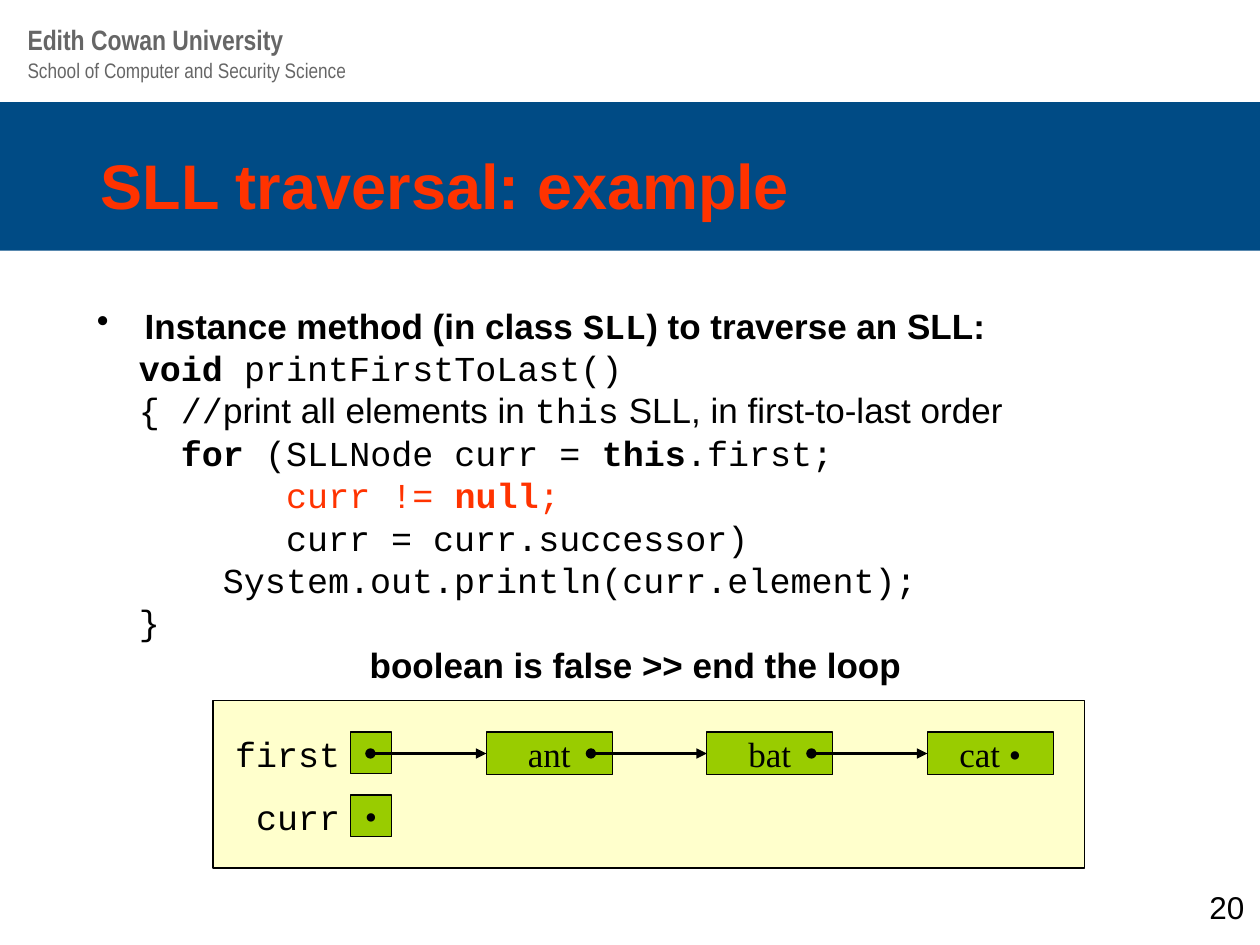
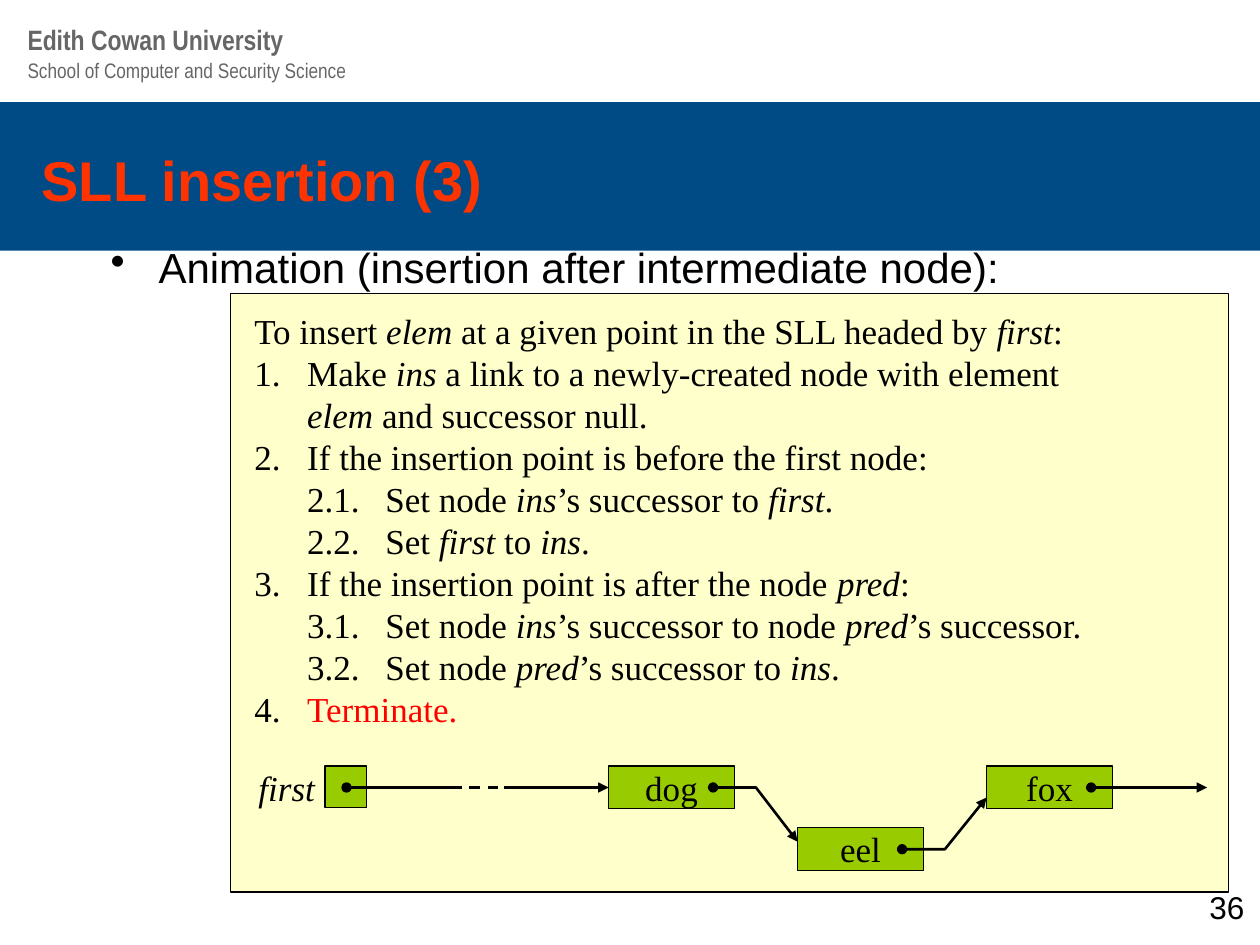
"""Build two slides on traversing and inserting into a singly linked list."""
from lxml import etree
from pptx import Presentation
from pptx.dml.color import RGBColor
from pptx.enum import dml, shapes, text
from pptx.oxml.ns import qn
from pptx.util import Inches, Pt

SANS, NARROW, MONO, SERIF = "Arial", "Arial Narrow", "Courier New", "Times New Roman"
BLACK = RGBColor(0, 0, 0)
GREY = RGBColor(0x66, 0x66, 0x66)
BLUE = RGBColor(0x00, 0x4B, 0x85)
ORANGE = RGBColor(0xFF, 0x33, 0x00)
RED = RGBColor(0xFF, 0, 0)
CREAM = RGBColor(0xFF, 0xFF, 0xCC)
GREEN = RGBColor(0x99, 0xCC, 0x00)
LEFT, CENTER, RIGHT = text.PP_ALIGN.LEFT, text.PP_ALIGN.CENTER, text.PP_ALIGN.RIGHT

BOLD, ITALIC, PROSE = {"bold": True}, {"italic": True}, {"font": SANS}
HOT, STOP = {"color": ORANGE}, {"color": RED}

HEADER = [
    ("Edith Cowan University", 0.13, 16, True),
    ("School of Computer and Security Science", 0.41, 12, False),
]
METHOD_INTRO = [("Instance method (in class ", BOLD | PROSE), ("SLL", BOLD),
                (") to traverse an SLL:", BOLD | PROSE)]
METHOD = [
    [("  void", BOLD), " printFirstToLast()"],
    ["  { //", ("print all elements in ", PROSE), "this",
     (" SLL, in first-to-last order", PROSE)],
    [("    for", BOLD), " (SLLNode curr = ", ("this", BOLD), ".first;"],
    ["         ", ("curr != ", HOT), ("null", HOT | BOLD), (";", HOT)],
    ["         curr = curr.successor)"],
    ["      System.out.println(curr.element);"],
    ["  }"],
]
METHOD_END = [("boolean is false >> end the loop", BOLD | PROSE)]
CHAIN = ["ant", "bat", "cat •"]

STEPS = [
    "To insert *elem* at a given point in the SLL headed by *first*:",
    "1.\tMake *ins* a link to a newly-created node with element",
    "\t*elem* and successor null.",
    "2.\tIf the insertion point is before the first node:",
    "\t2.1.\tSet node *ins*’s successor to *first*.",
    "\t2.2.\tSet *first* to *ins*.",
    "3.\tIf the insertion point is after the node *pred*:",
    "\t3.1.\tSet node *ins*’s successor to node *pred*’s successor.",
    "\t3.2.\tSet node *pred*’s successor to *ins*.",
]
LAST_STEP = ["4.\t", ("Terminate.", STOP)]
STEP_TABS = (0.42, 1.04)

NODE_W, NODE_H, LINK_W = 1, 0.34, 0.33
MID = NODE_H / 2
DOT = 0.83
CHAIN_X, CHAIN_Y, CHAIN_STEP = 3.86, 5.81, 1.75


def write(tf, paras, size=20, font=SANS, color=BLACK, bold=False, italic=False, align=LEFT,
          before=0, spacing=None, hang=0, bullet=False, tabs=(), more=False):
    """Fill a text frame with paragraphs made of strings and (string, format) runs."""
    for k, runs in enumerate(paras):
        first = k == 0 and not more
        p = tf.paragraphs[0] if first else tf.add_paragraph()
        pPr = p._p.get_or_add_pPr()
        if hang:
            pPr.set("marL", str(Inches(hang)))
            pPr.set("indent", str(-Inches(hang)))
        if bullet:
            etree.SubElement(pPr, qn("a:buChar"), char="•")
        if tabs:
            stops = etree.SubElement(pPr, qn("a:tabLst"))
            for tab in tabs:
                etree.SubElement(stops, qn("a:tab"), pos=str(Inches(tab)), algn="l")
        p.alignment = align
        p.space_before = Pt(0 if first else before)
        if spacing:
            p.line_spacing = spacing
        for run in runs:
            words, own = (run, {}) if isinstance(run, str) else run
            r = p.add_run()
            r.text = words
            r.font.size = Pt(size)
            r.font.name = own.get("font", font)
            r.font.bold = own.get("bold", bold)
            r.font.italic = own.get("italic", italic)
            r.font.color.rgb = own.get("color", color)


def inset(tf, margin):
    tf.margin_left = tf.margin_right = tf.margin_top = tf.margin_bottom = margin


def text_box(s, at, paras, flush=False, **fmt):
    tf = s.shapes.add_textbox(*map(Inches, at)).text_frame
    tf.word_wrap = True
    if flush:
        inset(tf, 0)
    write(tf, paras, **fmt)
    return tf


def rect(s, at, fill, outline=True):
    sp = s.shapes.add_shape(shapes.MSO_SHAPE.RECTANGLE, *map(Inches, at))
    sp.shadow.inherit = False
    sp.fill.solid()
    sp.fill.fore_color.rgb = fill
    if outline:
        sp.line.color.rgb = BLACK
        sp.line.width = Pt(0.75)
    else:
        sp.line.fill.background()
    return sp


def node(s, x, y, label, width=NODE_W, height=NODE_H):
    tf = rect(s, (x, y, width, height), GREEN).text_frame
    inset(tf, 0)
    tf.word_wrap = width == NODE_W
    tf.vertical_anchor = text.MSO_ANCHOR.TOP if width == NODE_W else text.MSO_ANCHOR.MIDDLE
    if label:
        write(tf, [[label]], font=SERIF, align=CENTER)


def variable(s, x, y, name, label_x, content="", **fmt):
    node(s, x, y, content, LINK_W, LINK_W)
    text_box(s, (label_x, y, x - 0.08 - label_x, LINK_W), [[name]], flush=True,
             align=RIGHT, **fmt)


def link(s, *points, head=True, tail=True, dashed=False):
    pts = [(Inches(x), Inches(y)) for x, y in points]
    if len(pts) == 2:
        sp = s.shapes.add_connector(shapes.MSO_CONNECTOR.STRAIGHT, *pts[0], *pts[1])
    else:
        builder = s.shapes.build_freeform(*pts[0])
        builder.add_line_segments(pts[1:], close=False)
        sp = builder.convert_to_shape()
        sp.fill.background()
    sp.line.color.rgb = BLACK
    sp.line.width = Pt(1.5)
    if dashed:
        sp.line.dash_style = dml.MSO_LINE.DASH
    spPr = sp.element.spPr
    ln = spPr.find(qn("a:ln"))
    if head:
        etree.SubElement(ln, qn("a:headEnd"), type="oval")
    if tail:
        etree.SubElement(ln, qn("a:tailEnd"), type="triangle")
    etree.SubElement(spPr, qn("a:effectLst"))


def new_slide(prs, title, at, size, number):
    s = prs.slides.add_slide(prs.slide_layouts[5])
    rect(s, (0, 0.81, 10, 1.18), BLUE, outline=False)
    for words, y, points, bold in HEADER:
        text_box(s, (0.12, y, 5.89, 0.33), [[words]], size=points, font=NARROW,
                 color=GREY, bold=bold)
    sp = s.shapes.title
    s.shapes.element.append(sp.element)
    sp.left, sp.top, sp.width, sp.height = map(Inches, at)
    sp.text_frame.vertical_anchor = text.MSO_ANCHOR.MIDDLE
    write(sp.text_frame, [[title]], size=size, color=ORANGE, bold=True)
    text_box(s, (9.5, 7, 0.5, 0.33), [[str(number)]], size=18)
    return s


def traversal(prs):
    s = new_slide(prs, "SLL traversal: example", (0.7, 1.09, 8.5, 0.75), 36, 20)
    fmt = dict(font=MONO, hang=0.38, spacing=0.8, before=5)
    tf = text_box(s, (0.67, 2.43, 8.75, 3.08), [METHOD_INTRO], bullet=True, **fmt)
    write(tf, METHOD, more=True, **fmt)
    write(tf, [METHOD_END], more=True, align=CENTER, **fmt)

    rect(s, (1.69, 5.56, 6.92, 1.33), CREAM)
    variable(s, 2.78, CHAIN_Y, "first", 1.78, font=MONO)
    variable(s, 2.78, CHAIN_Y + 0.5, "curr", 1.78, content="•", font=MONO)
    y = CHAIN_Y + MID
    dot = 2.94
    for k, label in enumerate(CHAIN):
        x = CHAIN_X + k * CHAIN_STEP
        node(s, x, CHAIN_Y, label)
        link(s, (dot, y), (x, y))
        dot = x + DOT
    link(s, (dot, y), (dot, y), tail=False)


def insertion(prs):
    s = new_slide(prs, "SLL insertion (3)", (0.23, 1.09, 3.75, 0.67), 32, 36)
    text_box(s, (0.78, 1.87, 8.98, 0.5), [["Animation (insertion after intermediate node):"]],
             size=24, hang=0.38, bullet=True)
    rect(s, (1.83, 2.33, 7.92, 4.75), CREAM)
    steps = [[(part, ITALIC if k % 2 else {}) for k, part in enumerate(step.split("*")) if part]
             for step in STEPS]
    text_box(s, (1.92, 2.41, 6.83, 3.43), steps + [LAST_STEP], font=SERIF,
             spacing=Pt(24), tabs=STEP_TABS)

    top, low = 6.08, 6.57
    dog, eel, fox = 4.83, 6.33, 7.83
    for label, x, y in (("dog", dog, top), ("eel", eel, low), ("fox", fox, top)):
        node(s, x, y, label)
    variable(s, 2.58, top, "first", 1.92, font=SERIF, italic=True)
    y, y_low = top + MID, low + MID
    link(s, (2.75, y), (3.58, y), tail=False)
    link(s, (3.58, y), (4, y), head=False, tail=False, dashed=True)
    link(s, (4, y), (dog, y), head=False)
    link(s, (fox + DOT, y), (9.58, y))
    link(s, (dog + DOT, y), (dog + 1.17, y), (eel, 6.68))
    link(s, (eel + DOT, y_low), (eel + 1.17, y_low), (fox, 6.33))


def main():
    prs = Presentation()
    prs.slide_width, prs.slide_height = Inches(10), Inches(7.5)
    traversal(prs)
    insertion(prs)
    prs.save("out.pptx")


if __name__ == "__main__":
    main()
